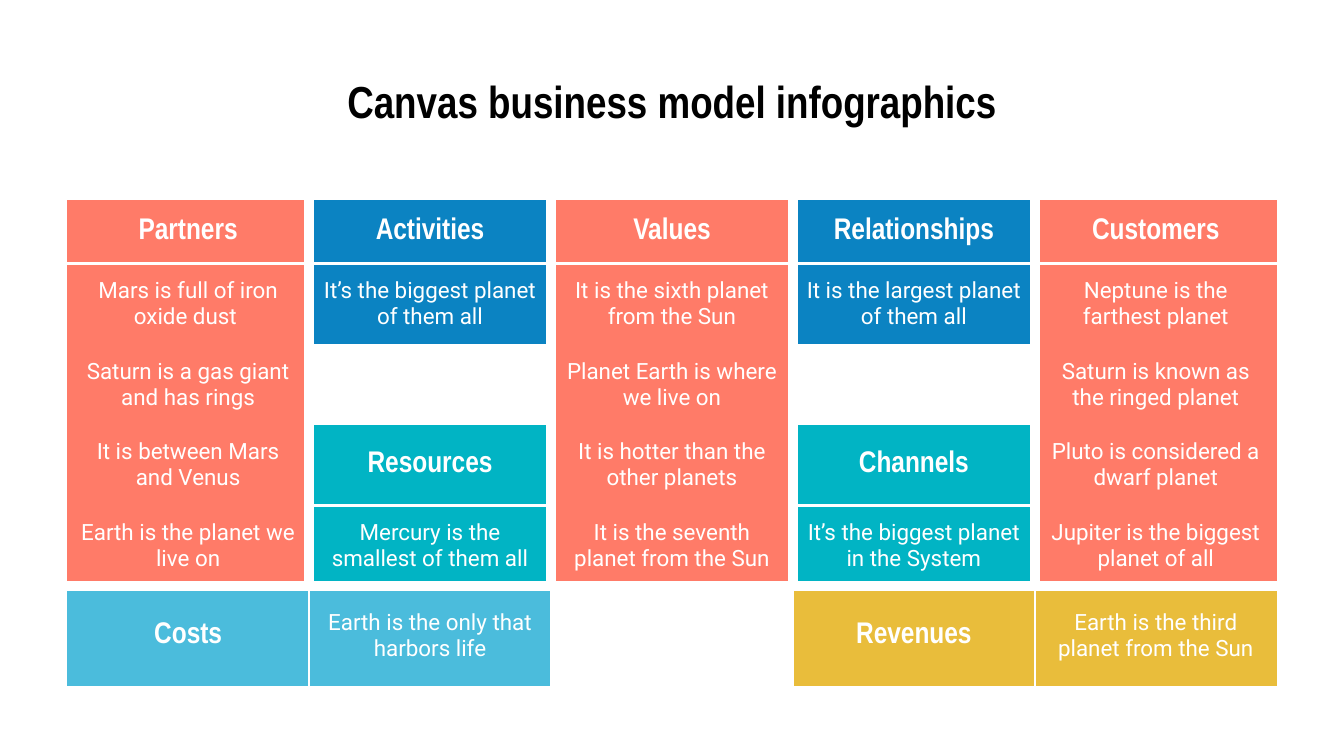
from lxml import etree
from pptx import Presentation, util as u
from pptx.dml.color import RGBColor
from pptx.enum import text
from pptx.oxml.ns import qn

INK = {"coral": "FF7B68", "blue": "0B83C2", "teal": "01B4C4", "sky": "4BBCDC",
       "gold": "E9BD3B", "white": "FFFFFF", "black": "000000"}
TITLE = "Canvas business model infographics"
HEADS = {"Partners", "Activities", "Values", "Relationships", "Customers",
         "Resources", "Channels", "Costs", "Revenues"}
ROWS = [
    ["Partners", "Activities", "Values", "Relationships", "Customers"],
    ["Mars is full of iron oxide dust ", "It’s the biggest planet of them all",
     "It is the sixth planet from the Sun", "It is the largest planet of them all",
     "Neptune is the farthest planet"],
    ["Saturn is a gas giant and has rings", "", "Planet Earth is where we live on", "",
     "Saturn is known as the ringed planet"],
    ["It is between Mars and Venus", "Resources", "It is hotter than the other planets",
     "Channels", "Pluto is considered a dwarf planet"],
    ["Earth is the planet we live on", "Mercury is the smallest of them all",
     "It is the seventh planet from the Sun", "It’s the biggest planet in the System",
     "Jupiter is the biggest planet of all"],
    ["Costs", "Earth is the only that harbors life", "", "Revenues",
     "Earth is the third planet from the Sun"],
]
TALL = [0.47, 0.48, 0.48, 0.48, 0.47, 0.74]
WIDE = 1.8
FRAME = 3.28
LAST = len(ROWS) - 1
THICK, THIN = 6, 1.5
PLAIN = "{2D5ABB26-0587-4C30-8999-92F81FD0307C}"


def tint(row, col):
    if row == LAST:
        return "sky" if col < 2 else "gold"
    if col % 2 == 0:
        return "coral"
    return "blue" if row < 3 else "teal"


def side(row, col):
    if not 0 < col < len(ROWS[0]):
        return 0
    return THIN if row == LAST else THICK


def level(row, col):
    if row == LAST:
        return THICK
    return THIN if row == 1 or (row == 4 and col % 2) else 0


def style(para, face, size, bold, color):
    para.alignment = text.PP_ALIGN.CENTER
    font = para.font
    font.name, font.size, font.bold = face, u.Pt(size), bold
    font.color.rgb = RGBColor.from_string(INK[color])


def edge(cell, sides):
    props = cell._tc.get_or_add_tcPr()
    for spot, (name, width) in enumerate(sides.items()):
        line = etree.Element(qn(f"a:ln{name}"), w=str(u.Pt(width)))
        if width:
            fill = etree.SubElement(line, qn("a:solidFill"))
            etree.SubElement(fill, qn("a:srgbClr"), val=INK["white"])
        else:
            etree.SubElement(line, qn("a:noFill"))
        props.insert(spot, line)


def fill_cell(cell, row, col, words):
    cell.margin_left = cell.margin_right = u.Inches(0.1)
    cell.margin_top = cell.margin_bottom = u.Inches(0.1)
    cell.vertical_anchor = text.MSO_ANCHOR.MIDDLE
    if words:
        cell.text = words
        cell.fill.solid()
        cell.fill.fore_color.rgb = RGBColor.from_string(INK[tint(row, col)])
        face, size = ("Arial Narrow", 16) if words in HEADS else ("Roboto", 12)
        style(cell.text_frame.paragraphs[0], face, size, words in HEADS, "white")
    else:
        cell.fill.background()
    edge(cell, {"L": side(row, col), "R": side(row, col + 1),
                "T": level(row, col), "B": level(row + 1, col) if row < LAST else 0})


def main():
    deck = Presentation()
    deck.slide_width = u.Inches(10)
    deck.slide_height = deck.slide_width * 9 // 16
    slide = deck.slides.add_slide(deck.slide_layouts[6])

    title = slide.shapes.add_textbox(u.Inches(0.5), u.Inches(0.45), u.Inches(9), u.Inches(0.63))
    frame = title.text_frame
    frame.word_wrap = True
    frame.margin_top = frame.margin_bottom = u.Inches(0.1)
    frame.text = TITLE
    style(frame.paragraphs[0], "Arial Narrow", 24, True, "black")

    count = len(ROWS[0])
    holder = slide.shapes.add_table(len(ROWS), count, u.Inches(0.5), u.Inches(1.49),
                                    u.Inches(WIDE * count), u.Inches(sum(TALL)))
    table = holder.table
    table.first_row = table.horz_banding = False
    table._tbl.tblPr.find(qn("a:tableStyleId")).text = PLAIN
    for row, (tall, line) in enumerate(zip(TALL, ROWS)):
        table.rows[row].height = u.Inches(tall)
        for col, words in enumerate(line):
            fill_cell(table.cell(row, col), row, col, words)
    holder.width = holder.height = u.Inches(FRAME)

    deck.save("out.pptx")


if __name__ == "__main__":
    main()
